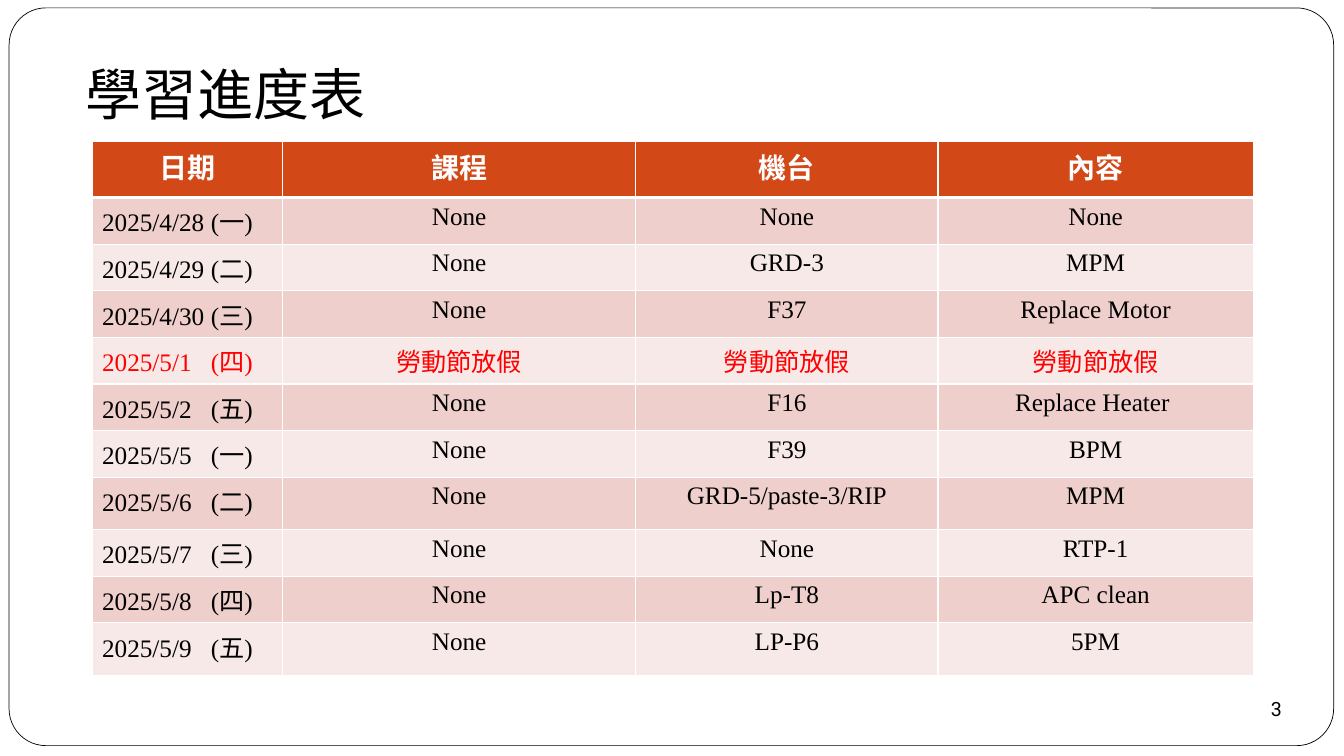
from lxml.etree import SubElement
from pptx import Presentation
from pptx.dml.color import RGBColor
from pptx.enum.shapes import MSO_SHAPE
from pptx.enum.text import MSO_ANCHOR, PP_ALIGN
from pptx.oxml.ns import qn
from pptx.util import Cm, Pt

WHITE = RGBColor(0xFF, 0xFF, 0xFF)
BLACK = RGBColor(0x00, 0x00, 0x00)
RED = RGBColor(0xFF, 0x00, 0x00)
ORANGE = RGBColor(0xD3, 0x48, 0x17)
DARK_BAND = RGBColor(0xEF, 0xCF, 0xCC)
LIGHT_BAND = RGBColor(0xF7, 0xE9, 0xE8)

TABLE_FONT = "Times New Roman"
CHINESE_FONT = "Noto Sans CJK SC"
HOLIDAY = "勞動節放假"
HEADINGS = ("日期", "課程", "機台", "內容")
SCHEDULE = (
    ("2025/4/28", "一", "None", "None", "None"),
    ("2025/4/29", "二", "None", "GRD-3", "MPM"),
    ("2025/4/30", "三", "None", "F37", "Replace Motor"),
    ("2025/5/1", "四", HOLIDAY, HOLIDAY, HOLIDAY),
    ("2025/5/2", "五", "None", "F16", "Replace Heater "),
    ("2025/5/5", "一", "None", "F39", "BPM"),
    ("2025/5/6", "二", "None", "GRD-5/paste-3/RIP", "MPM"),
    ("2025/5/7", "三", "None", "None", "RTP-1"),
    ("2025/5/8", "四", "None", "Lp-T8", "APC clean"),
    ("2025/5/9", "五", "None", "LP-P6", "5PM"),
)
COLUMN_WIDTHS = (4.8, 8.9, 7.62, 7.94)
HEADER_HEIGHT, ROW_HEIGHT, TALL_HEIGHT = 1.42, 1.15, 1.32
TALL_ROWS = (7, 10)


def add_run(paragraph, text, size, font, color, bold=False):
    """Add one formatted run with Latin and Chinese typefaces."""
    run = paragraph.add_run()
    run.text = text
    run.font.size = Pt(size)
    run.font.name = font
    run.font.bold = bold
    run.font.color.rgb = color
    latin = run.font._element.find(qn("a:latin"))
    east_asian = latin.makeelement(qn("a:ea"), {"typeface": CHINESE_FONT})
    latin.addnext(east_asian)


def add_panel(slide, kind, left, top, width, height):
    """Add a white preset shape without a shadow or outline."""
    shape = slide.shapes.add_shape(kind, Cm(left), Cm(top), Cm(width), Cm(height))
    shape.shadow.inherit = False
    shape.fill.solid()
    shape.fill.fore_color.rgb = WHITE
    shape.line.fill.background()
    return shape


def add_frame(slide):
    """Add the rounded outline around the slide."""
    frame = add_panel(slide, MSO_SHAPE.ROUNDED_RECTANGLE, 0.23, 0.2, 33.38, 18.59)
    frame.adjustments[0] = 0.05
    frame.line.color.rgb = BLACK
    frame.line.width = Pt(0.5)


def add_page_number(slide, number):
    """Add the page number at the bottom right."""
    badge = add_panel(slide, MSO_SHAPE.OVAL, 31.32, 17.22, 1.7, 1.27)
    frame = badge.text_frame
    frame.word_wrap = False
    frame.vertical_anchor = MSO_ANCHOR.MIDDLE
    frame.margin_left = frame.margin_right = Cm(0)
    frame.margin_top = frame.margin_bottom = Cm(0)
    paragraph = frame.paragraphs[0]
    paragraph.alignment = PP_ALIGN.CENTER
    add_run(paragraph, number, 14, "Roboto", BLACK)


def add_title(slide, text):
    """Add the slide title."""
    box = slide.shapes.add_textbox(Cm(1.65), Cm(1.37), Cm(8.08), Cm(1.96))
    box.text_frame.word_wrap = True
    paragraph = box.text_frame.paragraphs[0]
    paragraph.alignment = PP_ALIGN.CENTER
    add_run(paragraph, text, 40, CHINESE_FONT, BLACK)


def add_borders(cell, bottom_width):
    """Draw white borders around a table cell."""
    properties = cell._tc.get_or_add_tcPr()
    for side, width in (("L", 1), ("R", 1), ("T", 1), ("B", bottom_width)):
        line = SubElement(properties, qn(f"a:ln{side}"), w=str(Pt(width)))
        fill = SubElement(line, qn("a:solidFill"))
        SubElement(fill, qn("a:srgbClr"), val=str(WHITE))


def add_tab_stop(paragraph, position):
    """Set a left tab stop in a paragraph."""
    tabs = SubElement(paragraph._p.get_or_add_pPr(), qn("a:tabLst"))
    SubElement(tabs, qn("a:tab"), pos=str(Cm(position)), algn="l")


def fill_cell(cell, text, size, color, background, bold=False, bottom_width=1):
    """Style a cell and write its text, with dates set left on a tab."""
    add_borders(cell, bottom_width)
    cell.fill.solid()
    cell.fill.fore_color.rgb = background
    paragraph = cell.text_frame.paragraphs[0]
    if "\t" in text:
        add_tab_stop(paragraph, 2.74)
    else:
        paragraph.alignment = PP_ALIGN.CENTER
    add_run(paragraph, text, size, TABLE_FONT, color, bold)


def add_schedule(slide):
    """Add the learning schedule table."""
    heights = [HEADER_HEIGHT] + [
        TALL_HEIGHT if number in TALL_ROWS else ROW_HEIGHT
        for number in range(1, len(SCHEDULE) + 1)
    ]
    table = slide.shapes.add_table(
        len(heights), len(HEADINGS), Cm(2.32), Cm(3.56),
        Cm(sum(COLUMN_WIDTHS)), Cm(sum(heights)),
    ).table
    table.horz_banding = False
    for column, width in zip(table.columns, COLUMN_WIDTHS):
        column.width = Cm(width)
    for row, height in zip(table.rows, heights):
        row.height = Cm(height)
    for column, heading in enumerate(HEADINGS):
        fill_cell(table.cell(0, column), heading, 20, WHITE, ORANGE, True, 3)
    for number, (date, weekday, *entries) in enumerate(SCHEDULE, 1):
        color = RED if HOLIDAY in entries else BLACK
        band = DARK_BAND if number % 2 else LIGHT_BAND
        for column, text in enumerate((f"{date}\t({weekday})", *entries)):
            fill_cell(table.cell(number, column), text, 18, color, band)


def main():
    """Build and save the schedule slide."""
    presentation = Presentation()
    presentation.slide_width = Cm(33.87)
    presentation.slide_height = Cm(19.05)
    slide = presentation.slides.add_slide(presentation.slide_layouts[6])
    add_frame(slide)
    add_page_number(slide, "3")
    add_schedule(slide)
    add_title(slide, "學習進度表")
    presentation.save("out.pptx")


if __name__ == "__main__":
    main()
